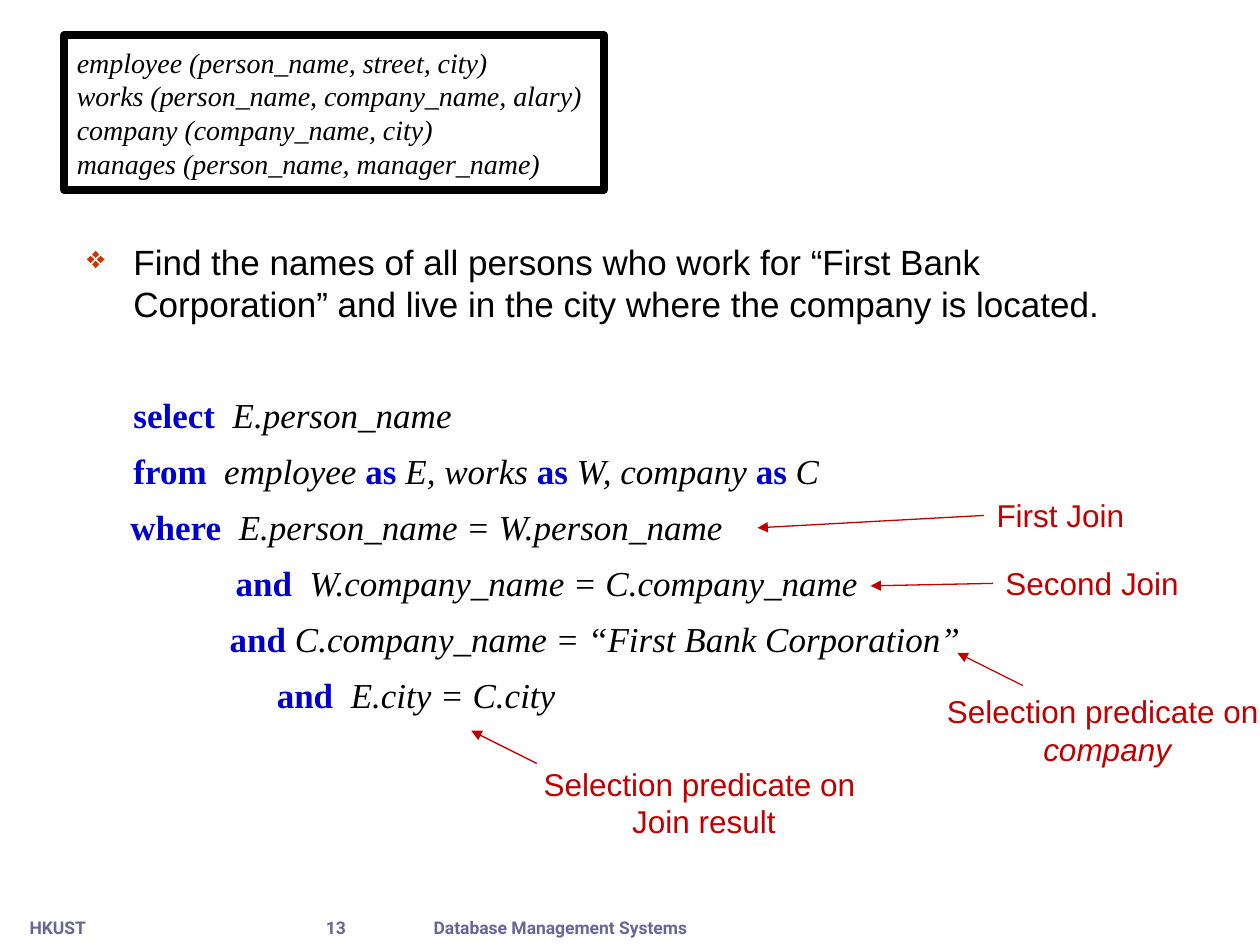
from dataclasses import dataclass

from lxml import etree
from pptx import Presentation
from pptx.dml.color import RGBColor
from pptx.enum.shapes import MSO_CONNECTOR, MSO_SHAPE
from pptx.enum.text import MSO_ANCHOR, MSO_AUTO_SIZE, PP_ALIGN
from pptx.oxml.ns import qn
from pptx.util import Cm, Pt

LEFT, CENTER = PP_ALIGN.LEFT, PP_ALIGN.CENTER
TOP, MIDDLE = MSO_ANCHOR.TOP, MSO_ANCHOR.MIDDLE
GROW = MSO_AUTO_SIZE.SHAPE_TO_FIT_TEXT
STRAIGHT, RECTANGLE = MSO_CONNECTOR.STRAIGHT, MSO_SHAPE.RECTANGLE


@dataclass(frozen=True)
class Theme:
    sans: str = "Arial"
    serif: str = "Times New Roman"
    footer_font: str = "Roboto"
    black: str = "000000"
    white: str = "FFFFFF"
    keyword: str = "0000CC"
    note: str = "C00000"
    bullet: str = "CC3300"
    footer: str = "666699"
    body_size: float = 20
    note_size: float = 18
    schema_size: float = 16
    footer_size: float = 10
    code_gap: float = 7.9
    question_gap: float = 31.9


THEME = Theme()


@dataclass(frozen=True)
class Box:
    left: float
    top: float
    width: float
    height: float

    def lengths(self):
        return Cm(self.left), Cm(self.top), Cm(self.width), Cm(self.height)


@dataclass(frozen=True)
class CodeLine:
    indent: float
    segments: tuple[str, ...]  # keywords and expressions in turn
    space_before: float = THEME.code_gap


@dataclass(frozen=True)
class Note:
    box: Box
    lines: tuple[str, ...]
    arrow: tuple[float, float, float, float]
    italic_last: bool = False


@dataclass(frozen=True)
class FooterItem:
    text: str
    left: float
    width: float


SCHEMA = (
    "employee (person_name, street, city)",
    "works (person_name, company_name, alary)",
    "company (company_name, city)",
    "manages (person_name, manager_name)",
)
QUESTION = ("Find the names of all persons who work for “First Bank Corporation” "
            "and live in the city where the company is located.")
QUERY = (
    CodeLine(0.94, ("select", "  E.person_name"), THEME.question_gap + THEME.code_gap),
    CodeLine(0.94, ("from", "  employee ", "as", " E, works ", "as",
                    " W, company ", "as", " C")),
    CodeLine(0.88, ("where", "  E.person_name = W.person_name")),
    CodeLine(3.0, ("and", "  W.company_name = C.company_name")),
    CodeLine(2.88, ("and", " C.company_name = “First Bank Corporation”")),
    CodeLine(3.83, ("and", "  E.city = C.city")),
)
NOTES = (
    Note(Box(19.84, 9.88, 3.12, 1.02), ("First Join",), (19.84, 10.39, 15.27, 10.64)),
    Note(Box(20.02, 11.25, 4.04, 1.02), ("Second Join",), (20.02, 11.76, 17.55, 11.81)),
    Note(Box(18.8, 13.82, 7.04, 1.8), ("Selection predicate on ", "company"),
         (20.62, 13.82, 19.3, 13.16), italic_last=True),
    Note(Box(10.67, 15.29, 7.04, 1.8), ("Selection predicate on ", "Join result"),
         (10.82, 15.39, 9.5, 14.73)),
)
FOOTER = (
    FooterItem("HKUST", 0.3, 1.73),
    FooterItem("13", 6.3, 0.94),
    FooterItem("Database Management Systems", 8.36, 5.87),
)


def add_run(paragraph, text: str, *, font: str, size: float, color: str,
            bold: bool = False, italic: bool = False) -> None:
    run = paragraph.add_run()
    run.text = text
    run.font.name = font
    run.font.size = Pt(size)
    run.font.bold = bold
    run.font.italic = italic
    run.font.color.rgb = RGBColor.from_string(color)


def next_paragraph(frame, align=LEFT):
    """Return the unused first paragraph, or a new one."""
    first = frame.paragraphs[0]
    paragraph = frame.add_paragraph() if first.runs else first
    paragraph.alignment = align
    return paragraph


def add_text_frame(slide, box: Box, wrap: bool = True):
    frame = slide.shapes.add_textbox(*box.lengths()).text_frame
    frame.word_wrap = wrap
    frame.vertical_anchor = TOP
    return frame


def set_indent(paragraph, left: float, hanging: float = 0) -> None:
    properties = paragraph._p.get_or_add_pPr()
    properties.set("marL", str(Cm(left)))
    properties.set("indent", str(-Cm(hanging)))


def add_bullet(paragraph, character: str, color: str, percent: int) -> None:
    properties = paragraph._p.get_or_add_pPr()
    bullet_color = etree.SubElement(properties, qn("a:buClr"))
    etree.SubElement(bullet_color, qn("a:srgbClr"), val=color)
    etree.SubElement(properties, qn("a:buSzPct"), val=str(percent * 1000))
    etree.SubElement(properties, qn("a:buChar"), char=character)


def add_arrow(slide, ends: tuple[float, float, float, float]) -> None:
    connector = slide.shapes.add_connector(STRAIGHT, *(Cm(end) for end in ends))
    connector.line.color.rgb = RGBColor.from_string(THEME.note)
    connector.line.width = Pt(0.75)
    etree.SubElement(connector.line._get_or_add_ln(), qn("a:tailEnd"), type="triangle")
    etree.SubElement(connector._element.spPr, qn("a:effectLst"))


def add_footer(slide, item: FooterItem) -> None:
    frame = add_text_frame(slide, Box(item.left, 18.36, item.width, 0.69), wrap=False)
    add_run(next_paragraph(frame, CENTER), item.text, font=THEME.footer_font,
            size=THEME.footer_size, color=THEME.footer, bold=True)


def add_body(slide) -> None:
    frame = add_text_frame(slide, Box(1.5, 4.72, 21.79, 13.49))
    question = next_paragraph(frame)
    set_indent(question, 0.94, hanging=0.94)
    add_bullet(question, "❖", THEME.bullet, 90)
    add_run(question, QUESTION, font=THEME.sans, size=THEME.body_size, color=THEME.black)
    for line in QUERY:
        paragraph = next_paragraph(frame)
        set_indent(paragraph, line.indent)
        paragraph.space_before = Pt(line.space_before)
        for index, segment in enumerate(line.segments):
            is_keyword = index % 2 == 0
            add_run(paragraph, segment, font=THEME.serif, size=THEME.body_size,
                    color=THEME.keyword if is_keyword else THEME.black,
                    bold=is_keyword, italic=not is_keyword)


def add_schema(slide) -> None:
    shape = slide.shapes.add_shape(RECTANGLE, *Box(1.3, 0.71, 10.87, 3.12).lengths())
    shape.shadow.inherit = False
    shape.fill.solid()
    shape.fill.fore_color.rgb = RGBColor.from_string(THEME.white)
    shape.line.color.rgb = RGBColor.from_string(THEME.black)
    shape.line.width = Pt(4.5)
    frame = shape.text_frame
    frame.word_wrap = True
    frame.vertical_anchor = MIDDLE
    for relation in SCHEMA:
        add_run(next_paragraph(frame), relation, font=THEME.serif,
                size=THEME.schema_size, color=THEME.black, italic=True)


def add_note(slide, note: Note) -> None:
    add_arrow(slide, note.arrow)
    frame = add_text_frame(slide, note.box, wrap=False)
    frame.auto_size = GROW
    for line in note.lines:
        add_run(next_paragraph(frame, CENTER if len(note.lines) > 1 else LEFT), line,
                font=THEME.sans, size=THEME.note_size, color=THEME.note,
                italic=note.italic_last and line == note.lines[-1])


def main() -> None:
    presentation = Presentation()
    presentation.slide_width, presentation.slide_height = Cm(25.4), Cm(19.05)
    slide = presentation.slides.add_slide(presentation.slide_layouts[6])

    # Footer
    for item in FOOTER:
        add_footer(slide, item)
    # Question and query
    add_body(slide)
    # Relations
    add_schema(slide)
    # Explanations of the conditions
    for note in NOTES:
        add_note(slide, note)

    presentation.save("out.pptx")


if __name__ == "__main__":
    main()
